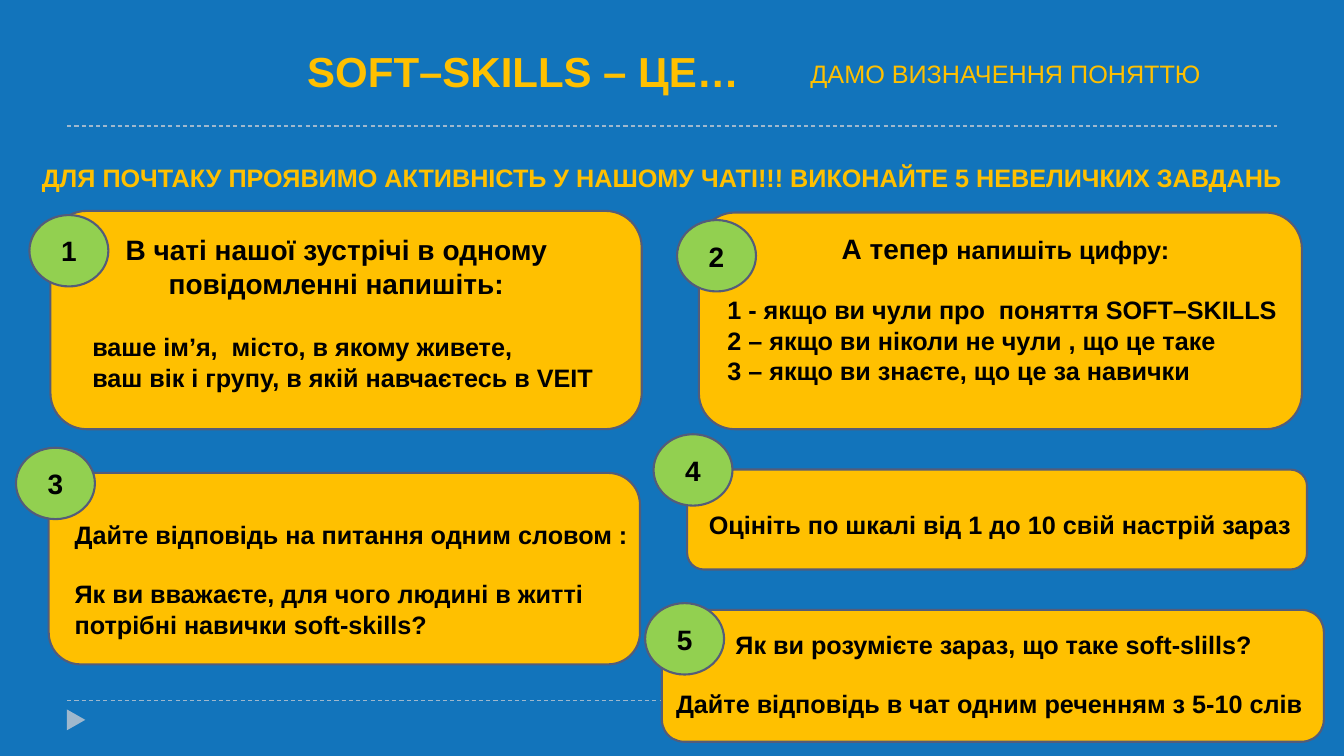
"""Build the slide with five warm-up chat tasks about soft skills."""
from lxml import etree
from pptx import Presentation
from pptx.dml.color import RGBColor
from pptx.enum.dml import MSO_LINE
from pptx.enum.shapes import MSO_CONNECTOR, MSO_SHAPE
from pptx.enum.text import MSO_ANCHOR, PP_ALIGN
from pptx.oxml.ns import qn
from pptx.util import Inches, Pt

CARD, BADGE, MARKER = MSO_SHAPE.ROUNDED_RECTANGLE, MSO_SHAPE.OVAL, MSO_SHAPE.ISOSCELES_TRIANGLE
STRAIGHT, DASH, MIDDLE = MSO_CONNECTOR.STRAIGHT, MSO_LINE.DASH, MSO_ANCHOR.MIDDLE
LEFT, CENTER = PP_ALIGN.LEFT, PP_ALIGN.CENTER
COLORS = {name: RGBColor.from_string(code) for name, code in {
    "background": "1274BB", "gold": "FFC000", "green": "92D050",
    "outline": "545C79", "rule": "9FB8CD", "ink": "000000"}.items()}
COLUMNS, ROWS = 160, 90
EMPTY_LINE = 21

deck = Presentation()
deck.slide_width, deck.slide_height = Inches(13.33), Inches(7.5)
column, row = deck.slide_width / COLUMNS, deck.slide_height / ROWS
slide = deck.slides.add_slide(deck.slide_layouts[6])
slide.background.fill.solid()
slide.background.fill.fore_color.rgb = COLORS["background"]


def place(left, top, width, height):
    return round(left * column), round(top * row), round(width * column), round(height * row)


def write(frame, text, size=18, bold=True, color="ink", align=LEFT, gap=0, lead=""):
    frame.word_wrap = True
    paragraph = frame.paragraphs[0]
    if paragraph.runs:
        paragraph = frame.add_paragraph()
    paragraph.alignment = align
    paragraph.space_before = Pt(gap)
    for words, points in ((lead, 20), (text, size)):
        if words:
            run = paragraph.add_run()
            run.text = words
            run.font.name, run.font.size, run.font.bold = "Arial", Pt(points), bold
            run.font.color.rgb = COLORS[color]


for level in (83.4, 15):
    start_x, start_y, length, _ = place(8, level, 144, 0)
    rule = slide.shapes.add_connector(STRAIGHT, start_x, start_y, start_x + length, start_y)
    rule.line.color.rgb = COLORS["rule"]
    rule.line.width = Pt(0.75)
    rule.line.dash_style = DASH
    etree.SubElement(rule.element.spPr, qn("a:effectLst"))

marker = slide.shapes.add_shape(MARKER, *place(7.8, 84.6, 2.5, 2.2))
marker.rotation = 90
marker.shadow.inherit = False
marker.fill.solid()
marker.fill.fore_color.rgb = COLORS["rule"]
marker.line.fill.background()

cards = [(6, 25.1, 70.4, 26), (83.2, 25.3, 71.8, 25.8), (5.8, 56.3, 70.4, 22.8),
         (81.8, 55.9, 73.8, 11.9), (78.8, 72.6, 78.8, 15.7)]
badges = [(corner_x, corner_y, 9.4, 8.5) for corner_x, corner_y in (
    (3.5, 25.6), (80.6, 26.2), (1.9, 53.3), (77.8, 51.7), (76.8, 71.8))]
for outline, color, areas in ((CARD, "gold", cards), (BADGE, "green", badges)):
    for number, area in enumerate(areas, 1):
        panel = slide.shapes.add_shape(outline, *place(*area))
        panel.shadow.inherit = False
        panel.fill.solid()
        panel.fill.fore_color.rgb = COLORS[color]
        panel.line.color.rgb = COLORS["outline"]
        panel.line.width = Pt(1.5)
        if outline == BADGE:
            panel.text_frame.vertical_anchor = MIDDLE
            write(panel.text_frame, str(number), size=20, align=CENTER)

passages = [
    ((35.4, 4.8, 55.8, 7.3), [("SOFT–SKILLS – ЦЕ…", {"size": 30, "color": "gold"})]),
    ((95.3, 6.4, 49.6, 4.8), [("ДАМО ВИЗНАЧЕННЯ ПОНЯТТЮ", {"bold": False, "color": "gold"})]),
    ((3.8, 18.7, 153.6, 4.8), [
        ("ДЛЯ ПОЧТАКУ ПРОЯВИМО АКТИВНІСТЬ У НАШОМУ ЧАТІ!!! ВИКОНАЙТЕ 5 НЕВЕЛИЧКИХ ЗАВДАНЬ",
         {"color": "gold"})]),
    ((5, 27.1, 70.1, 9.2), [
        ("В чаті нашої зустрічі в одному повідомленні напишіть:", {"size": 20, "align": CENTER})]),
    ((9.8, 38.9, 66.6, 8.5), [
        ("ваше ім’я,  місто, в якому живете,", {}),
        ("ваш вік і групу, в якій навчаєтесь в VEIT", {})]),
    ((85.4, 27, 68.6, 27.5), [
        ("напишіть цифру:", {"lead": "А тепер ", "align": CENTER}),
        ("1 - якщо ви чули про  поняття SOFT–SKILLS", {"gap": EMPTY_LINE}),
        ("2 – якщо ви ніколи не чули , що це таке", {}),
        ("3 – якщо ви знаєте, що це за навички", {})]),
    ((7.7, 61.2, 69.1, 15.7), [
        ("Дайте відповідь на питання одним словом :", {}),
        ("Як ви вважаєте, для чого людині в житті", {"gap": EMPTY_LINE}),
        ("потрібні навички soft-skills?", {})]),
    ((83.2, 60, 72.5, 4.8), [("Оцініть по шкалі від 1 до 10 свій настрій зараз", {})]),
    ((79.3, 74.3, 78, 12.1), [
        ("Як ви розумієте зараз, що таке soft-slills?", {"align": CENTER}),
        ("Дайте відповідь в чат одним реченням з 5-10 слів", {"gap": EMPTY_LINE})]),
]
for area, lines in passages:
    passage = slide.shapes.add_textbox(*place(*area))
    for line, style in lines:
        write(passage.text_frame, line, **style)

deck.save("out.pptx")
